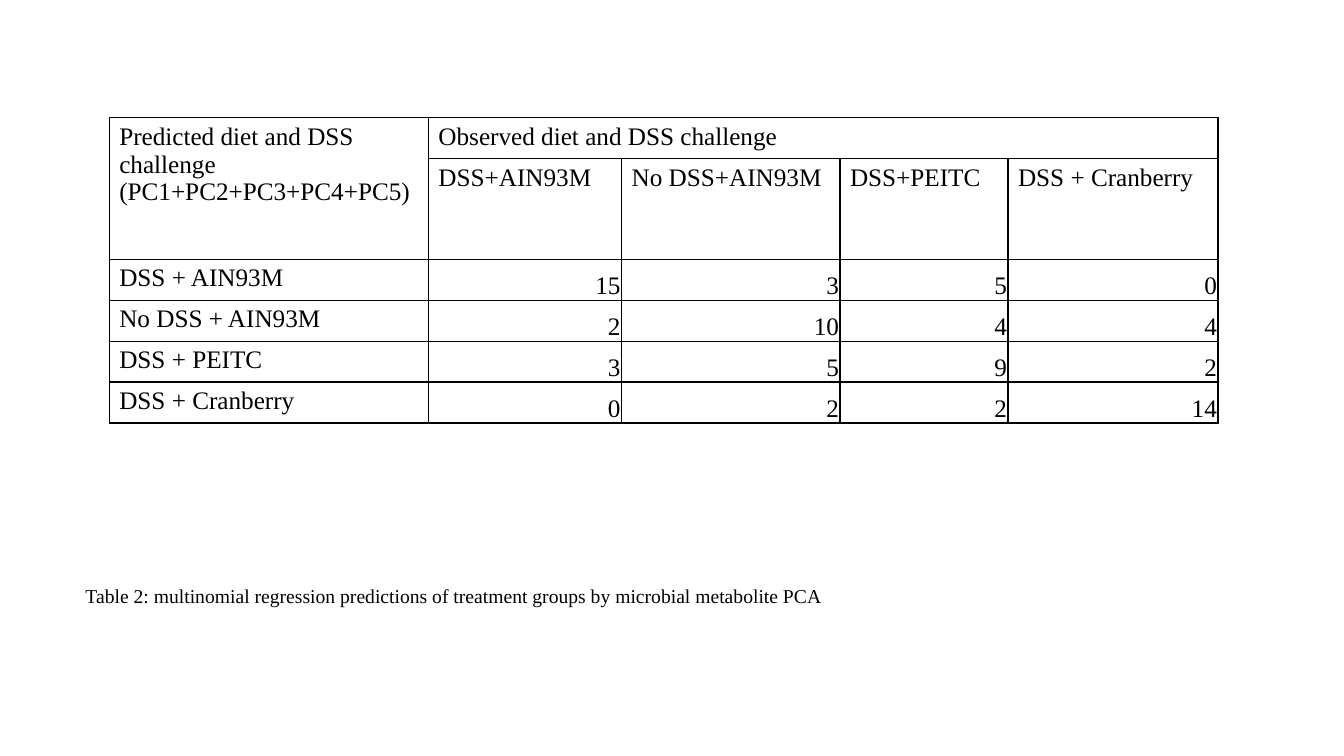
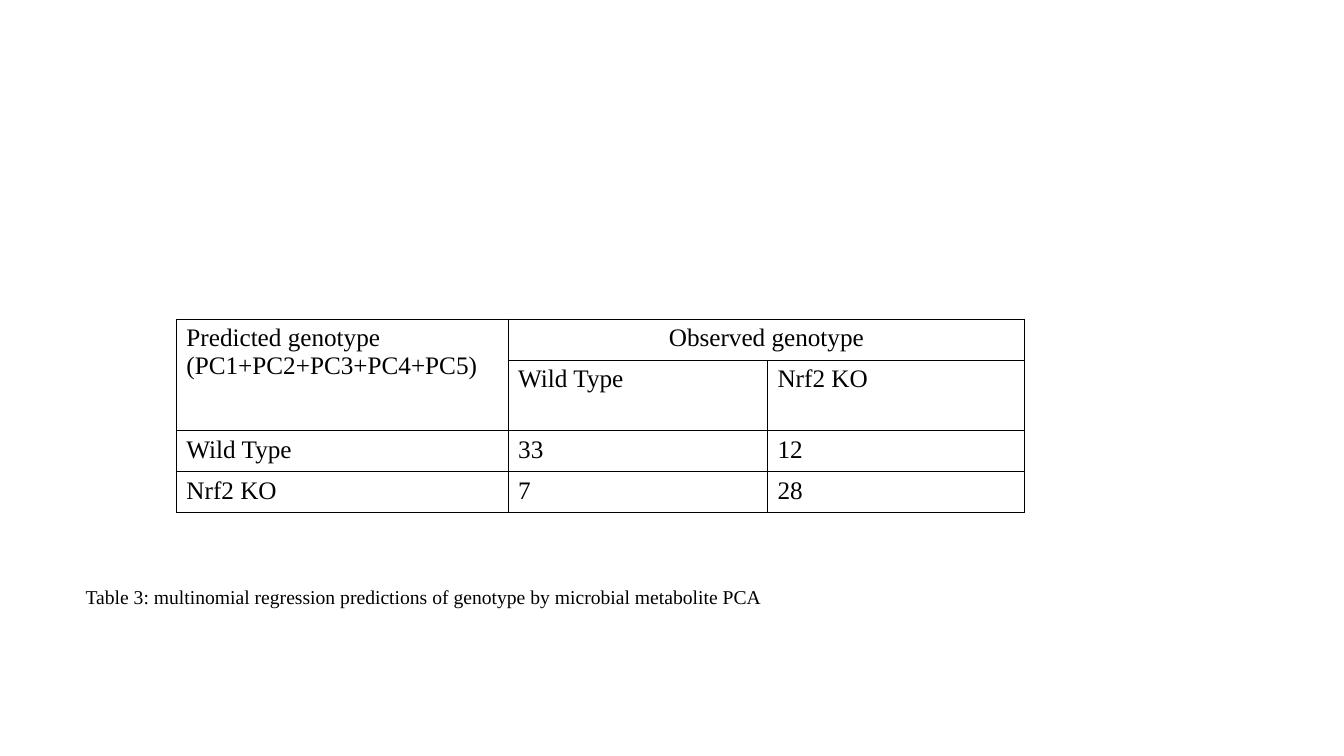
from dataclasses import dataclass

from lxml import etree
from pptx import Presentation
from pptx.dml.color import RGBColor
from pptx.enum.text import MSO_ANCHOR, MSO_AUTO_SIZE, PP_ALIGN
from pptx.oxml.ns import qn
from pptx.util import Pt

LEFT, CENTER, RIGHT = PP_ALIGN.LEFT, PP_ALIGN.CENTER, PP_ALIGN.RIGHT
TOP, BOTTOM = MSO_ANCHOR.TOP, MSO_ANCHOR.BOTTOM
GROW = MSO_AUTO_SIZE.SHAPE_TO_FIT_TEXT
EMU_PER_PX = 9525
BLANK_LAYOUT = 6


@dataclass(frozen=True)
class Theme:
    font: str = "Times New Roman"
    ink: str = "000000"
    caption_size: int = 14
    cell_size: int = 18
    border_width: int = 1


THEME = Theme()
ROW = 39  # height of a one-line table row
CAPTION_LEFT, CAPTION_HEIGHT = 72, 32


def px(length):
    return length * EMU_PER_PX


# Text
def write(text_frame, text, size, align=LEFT):
    for index, line in enumerate(text.split("\n")):
        paragraph = text_frame.add_paragraph() if index else text_frame.paragraphs[0]
        paragraph.alignment = align
        run = paragraph.add_run()
        run.text = line
        run.font.name = THEME.font
        run.font.size = Pt(size)
        run.font.color.rgb = RGBColor.from_string(THEME.ink)


def add_caption(slide, top, width, text):
    box = slide.shapes.add_textbox(px(CAPTION_LEFT), px(top), px(width), px(CAPTION_HEIGHT))
    box.text_frame.word_wrap = True
    box.text_frame.auto_size = GROW
    write(box.text_frame, text, THEME.caption_size)


# Table
def add_borders(cell):
    properties = cell._tc.get_or_add_tcPr()
    for index, side in enumerate(("lnL", "lnR", "lnT", "lnB")):
        line = etree.Element(qn(f"a:{side}"), w=str(Pt(THEME.border_width)))
        fill = etree.SubElement(line, qn("a:solidFill"))
        etree.SubElement(fill, qn("a:srgbClr"), val=THEME.ink)
        properties.insert(index, line)


def fill_cell(cell, text, align=LEFT, anchor=TOP):
    write(cell.text_frame, text, THEME.cell_size, align)
    cell.vertical_anchor = anchor


def fill_count(cell, count, tight):
    if tight:
        cell.margin_left = cell.margin_right = cell.margin_top = px(1)
        cell.margin_bottom = 0
        fill_cell(cell, str(count), RIGHT, BOTTOM)
    else:
        fill_cell(cell, str(count))


def add_prediction_table(slide, left, top, widths, header_height, corner, heading,
                         groups, predictions, heading_align=LEFT, tight=False):
    """Cross table of predicted (rows) against observed (columns) groups."""
    heights = [ROW, header_height] + [ROW] * len(predictions)
    table = slide.shapes.add_table(len(heights), len(widths), px(left), px(top),
                                   px(sum(widths)), px(sum(heights))).table
    table.first_row = table.horz_banding = False
    for column, width in zip(table.columns, widths):
        column.width = px(width)
    for row, height in zip(table.rows, heights):
        row.height = px(height)
    for cell in table.iter_cells():
        cell.fill.background()
        add_borders(cell)

    # Two header rows
    table.cell(0, 0).merge(table.cell(1, 0))
    table.cell(0, 1).merge(table.cell(0, len(widths) - 1))
    fill_cell(table.cell(0, 0), corner)
    fill_cell(table.cell(0, 1), heading, heading_align)
    for column, group in enumerate(groups, 1):
        fill_cell(table.cell(1, column), group)

    # Counts
    for row, (group, counts) in enumerate(predictions.items(), 2):
        fill_cell(table.cell(row, 0), group)
        for column, count in enumerate(counts, 1):
            fill_count(table.cell(row, column), count, tight)


# Slides
def build_treatment_slide(slide):
    add_caption(slide, 551, 1008, "Table 2: multinomial regression predictions of "
                "treatment groups by microbial metabolite PCA")
    add_prediction_table(
        slide, 104, 112, (304, 184, 208, 160, 200), 96,
        "Predicted diet and DSS challenge (PC1+PC2+PC3+PC4+PC5)",
        "Observed diet and DSS challenge",
        ("DSS+AIN93M", "No DSS+AIN93M", "DSS+PEITC", "DSS + Cranberry"),
        {"DSS + AIN93M": (15, 3, 5, 0),
         "No DSS + AIN93M": (2, 10, 4, 4),
         "DSS + PEITC": (3, 5, 9, 2),
         "DSS + Cranberry": (0, 2, 2, 14)},
        tight=True)


def build_genotype_slide(slide):
    add_caption(slide, 552, 976, "Table 3: multinomial regression predictions of "
                "genotype by microbial metabolite PCA")
    add_prediction_table(
        slide, 168, 304, (316, 247, 245), 67,
        "Predicted genotype\n(PC1+PC2+PC3+PC4+PC5)", "Observed genotype",
        ("Wild Type", "Nrf2 KO"),
        {"Wild Type": (33, 12), "Nrf2 KO": (7, 28)},
        heading_align=CENTER)


def main():
    presentation = Presentation()
    presentation.slide_width, presentation.slide_height = px(1280), px(720)
    for build in (build_treatment_slide, build_genotype_slide):
        build(presentation.slides.add_slide(presentation.slide_layouts[BLANK_LAYOUT]))
    presentation.save("out.pptx")


if __name__ == "__main__":
    main()
